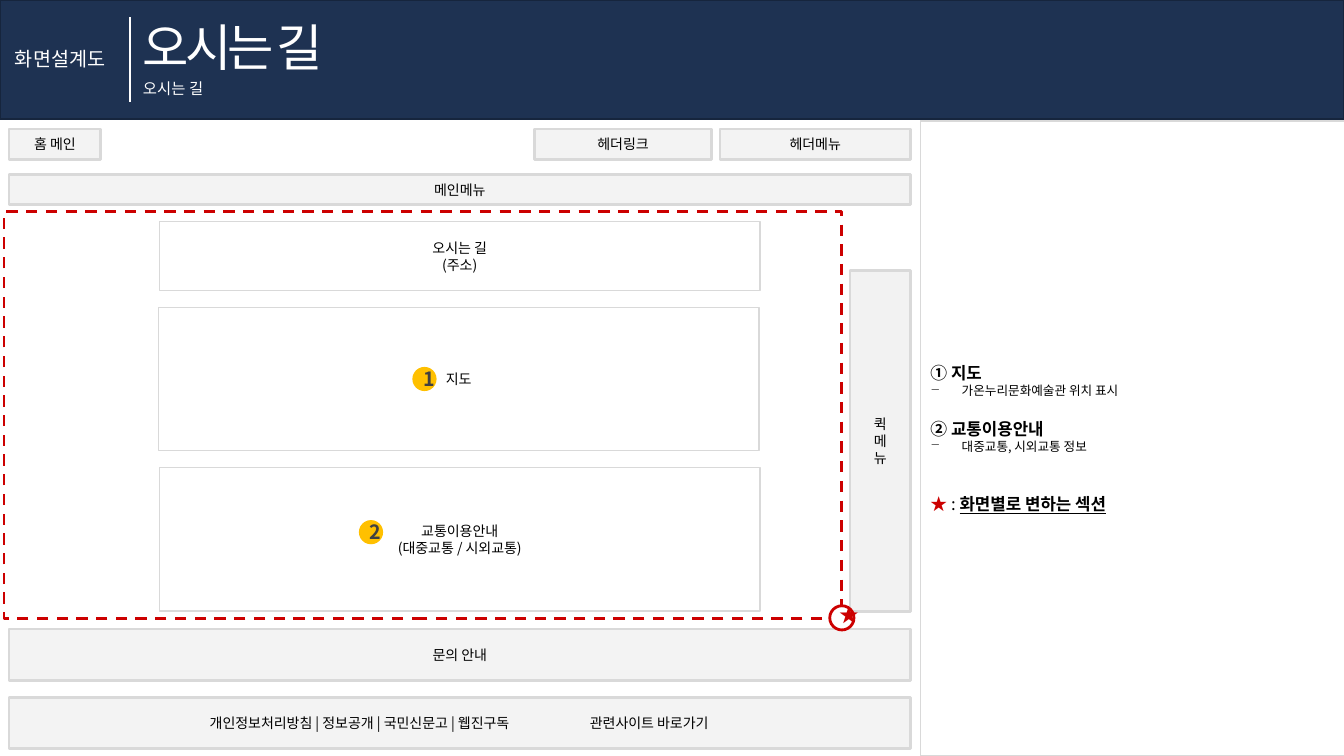
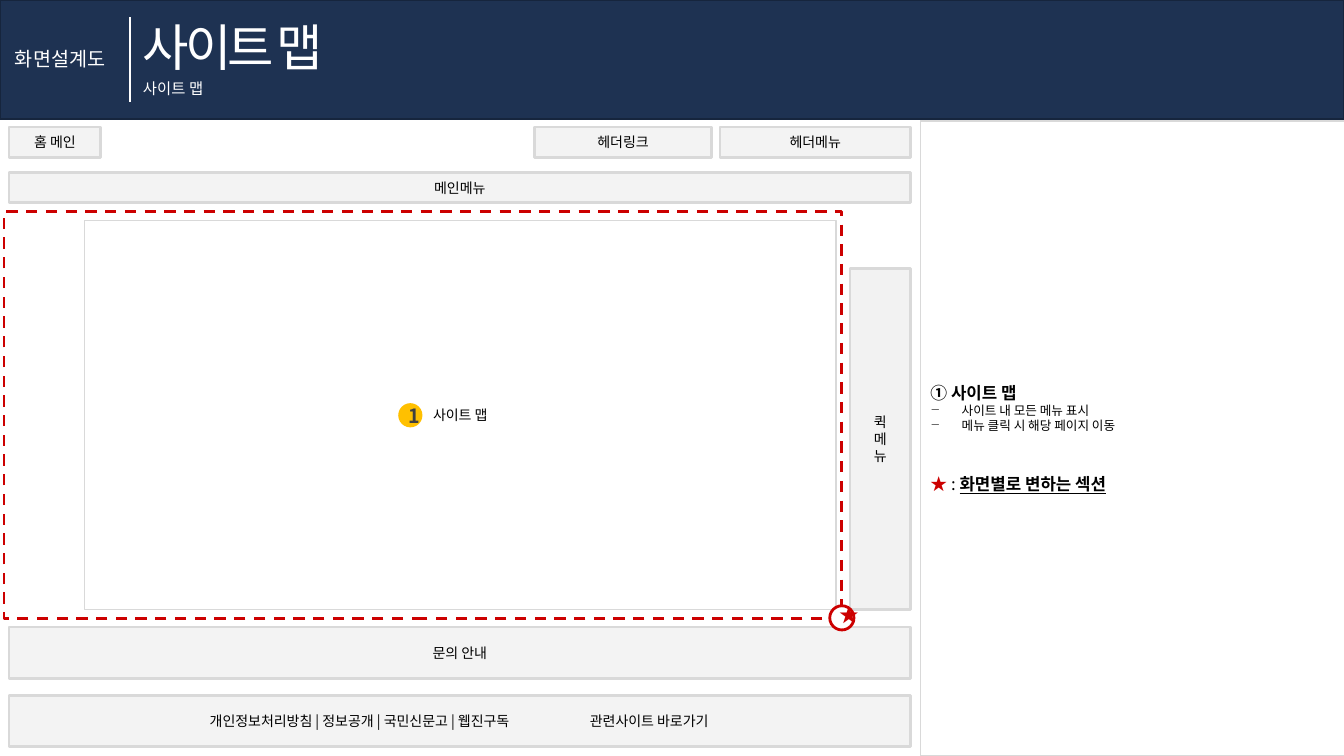
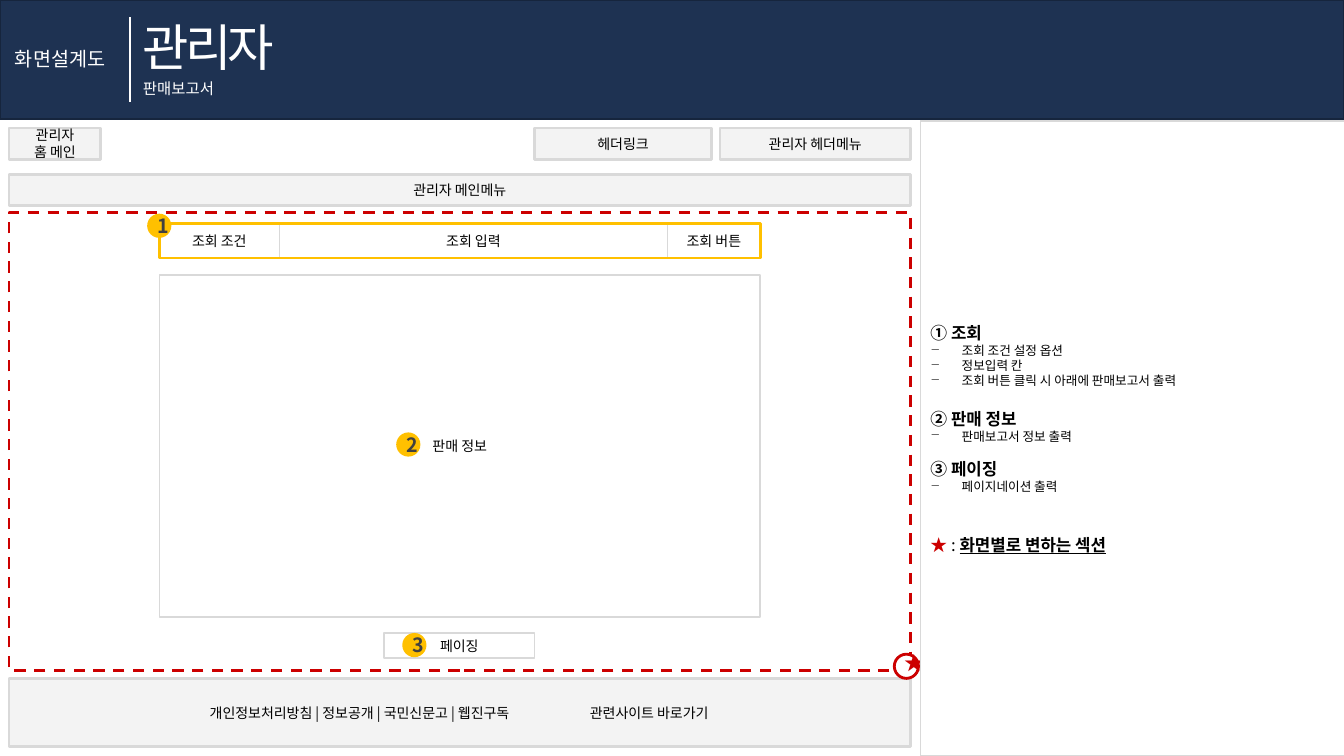
"""Build three wireframe slides with a shared header, page frame and notes panel."""
import pptx
import pptx.util
import pptx.dml.color
import pptx.enum.dml
import pptx.enum.shapes
import pptx.enum.text
import pptx.oxml
import pptx.oxml.ns

Inches = pptx.util.Inches
Pt = pptx.util.Pt
RGBColor = pptx.dml.color.RGBColor
SHAPE = pptx.enum.shapes.MSO_SHAPE
ALIGN = pptx.enum.text.PP_ALIGN
ANCHOR = pptx.enum.text.MSO_ANCHOR

NAVY = RGBColor(0x1E, 0x32, 0x52)
NAVY_EDGE = RGBColor(0x16, 0x25, 0x3D)
WHITE = RGBColor(0xFF, 0xFF, 0xFF)
BLACK = RGBColor(0, 0, 0)
CHARCOAL = RGBColor(0x40, 0x40, 0x40)
GREY = RGBColor(0xD9, 0xD9, 0xD9)
MID_GREY = RGBColor(0xBF, 0xBF, 0xBF)
RED = RGBColor(0xCC, 0, 0)
AMBER = RGBColor(0xFF, 0xC0, 0)

KOREAN = "Noto Sans CJK KR"
LATIN = "Roboto"
LABEL = {"size": Pt(10), "name": KOREAN}
HEADING = {"size": Pt(12), "name": KOREAN, "bold": True}
DETAIL = {"size": Pt(9), "name": KOREAN}
BADGE = {"size": Pt(14), "name": KOREAN, "bold": True}
BLANK_LINE = 14.4

LEFT, WIDTH = 0.09, 8.94
CONTENT_LEFT, CONTENT_WIDTH = 1.58, 5.96
DOT = 0.24
LINKS = "개인정보처리방침 | 정보공개 | 국민신문고 | 웹진구독\t관련사이트 바로가기"


def add_xml(parent, tag, **attributes):
    """Append a DrawingML element with attributes and return it."""
    child = pptx.oxml.parse_xml(f"<a:{tag} {pptx.oxml.ns.nsdecls('a')}/>")
    for key, value in attributes.items():
        child.set(key, str(value))
    parent.append(child)
    return child


def add_run(paragraph, text, formats, color=BLACK):
    """Add a run formatted from a dict of font values."""
    run = paragraph.add_run()
    run.text = text
    for key, value in formats.items():
        setattr(run.font, key, value)
    run.font.color.rgb = color
    add_xml(run.font._element, "ea", typeface=KOREAN)
    return run


def add_block(slide, box, lines=(), fill=None, edge=None, weight=1.0, opacity=None,
              kind=SHAPE.RECTANGLE, formats=LABEL, color=BLACK):
    """Add a preset shape with centred lines of text."""
    block = slide.shapes.add_shape(kind, *map(Inches, box))
    block.shadow.inherit = False
    if fill is None:
        block.fill.background()
    else:
        block.fill.solid()
        block.fill.fore_color.rgb = fill
        if opacity:
            tint = block.fill._xPr.find(".//" + pptx.oxml.ns.qn("a:srgbClr"))
            add_xml(tint, "alpha", val=opacity * 1000)
    if edge is None:
        block.line.fill.background()
    else:
        block.line.color.rgb = edge
        block.line.width = Pt(weight)
    frame = block.text_frame
    frame.vertical_anchor = ANCHOR.MIDDLE
    for index, line in enumerate(lines):
        paragraph = frame.add_paragraph() if index else frame.paragraphs[0]
        paragraph.alignment = ALIGN.CENTER
        add_run(paragraph, line, formats, color)
    return block


def add_bar(slide, box, *lines, fill=GREY, opacity=30):
    """Add a translucent grey area of the fixed page frame."""
    return add_block(slide, box, lines, fill, GREY, 2, opacity)


def add_panel(slide, box, *lines):
    """Add a white content area."""
    return add_block(slide, box, lines, WHITE, GREY)


def add_badge(slide, left, top, number):
    """Add a numbered amber dot."""
    add_block(slide, (left, top, DOT, DOT), [number], AMBER, kind=SHAPE.OVAL,
              formats=BADGE, color=CHARCOAL)


def add_caption(slide, box, text, formats, color=WHITE, wrap=False):
    """Add a text box holding one line and return its run."""
    frame = slide.shapes.add_textbox(*map(Inches, box)).text_frame
    frame.word_wrap = wrap
    return add_run(frame.paragraphs[0], text, formats, color)


def add_header(slide, title, subtitle):
    """Add the navy band with its titles and divider."""
    add_block(slide, (0, 0, 13.33, 1.18), fill=NAVY, edge=NAVY_EDGE)
    heading = add_caption(slide, (1.32, 0.11, 2.2, 0.71), title,
                          {"size": Pt(36), "name": KOREAN})
    heading.font._element.set("spc", "-300")
    add_caption(slide, (0.05, 0.42, 1.18, 0.34), "화면설계도",
                {"size": Pt(14), "name": KOREAN})
    divider = slide.shapes.add_connector(
        pptx.enum.shapes.MSO_CONNECTOR.STRAIGHT,
        Inches(1.29), Inches(0.17), Inches(1.29), Inches(1.01))
    divider.line.color.rgb = WHITE
    divider.line.width = Pt(1.5)
    add_xml(divider._element.spPr, "effectLst")
    add_caption(slide, (1.32, 0.74, 0.97, 0.29), subtitle,
                {"size": Pt(11), "name": LATIN})


def add_menus(slide, top, menu_top, height=0.3, home=("홈 메인",), prefix=""):
    """Add the home, link and menu bars at the top of the page."""
    add_bar(slide, (LEFT, top, 0.91, height), *home)
    add_bar(slide, (5.3, top, 1.76, height), "헤더링크")
    add_bar(slide, (7.14, top, 1.89, height), prefix + "헤더메뉴")
    add_bar(slide, (LEFT, menu_top, WIDTH, height), prefix + "메인메뉴")


def add_footer(slide, top, height):
    """Add the bottom bar with links and a tabbed site list."""
    footer = add_bar(slide, (LEFT, top, WIDTH, height), LINKS)
    footer.text_frame.margin_left = Inches(1.99)
    paragraph = footer.text_frame.paragraphs[0]
    paragraph.alignment = ALIGN.LEFT
    stops = add_xml(paragraph._p.get_or_add_pPr(), "tabLst")
    add_xml(stops, "tab", pos=Inches(3.77), algn="l")


def add_public_frame(slide, shift):
    """Add the bars that the visitor pages share, moved up by a shift."""
    add_menus(slide, 1.28 - shift, 1.73 - shift)
    add_bar(slide, (8.43, 2.68 - shift, 0.6, 3.39), *"퀵메뉴", fill=MID_GREY, opacity=20)
    add_bar(slide, (LEFT, 6.24 - shift, WIDTH, 0.51), "문의 안내")
    add_footer(slide, 6.92 - shift, 0.51)


def add_section(slide, box, left, top):
    """Add the dashed outline of the changing section and its star mark."""
    outline = add_block(slide, box, edge=RED, weight=2)
    outline.line.dash_style = pptx.enum.dml.MSO_LINE.DASH
    add_block(slide, (left, top, DOT, DOT), fill=WHITE, edge=RED, weight=2, kind=SHAPE.OVAL)
    star = add_caption(slide, (left, top - 0.08, DOT, 0.34), "★",
                       {"size": Pt(14), "name": KOREAN}, RED, wrap=True)
    star._r.getparent().get_or_add_pPr().set("algn", "ctr")


def add_notes_panel(slide, topics):
    """Add the side panel from (gap before, heading, details) topics."""
    panel = add_panel(slide, (9.13, 1.2, 4.22, 6.3))
    frame = panel.text_frame

    def add_line(gap=0):
        """Start a left-aligned paragraph after a gap in points."""
        started = frame.paragraphs[0].runs
        paragraph = frame.add_paragraph() if started else frame.paragraphs[0]
        paragraph.alignment = ALIGN.LEFT
        paragraph.space_before = Pt(gap)
        return paragraph

    for gap, heading, details in topics:
        add_run(add_line(gap), heading, HEADING)
        for detail in details:
            item = add_line()
            properties = item._p.get_or_add_pPr()
            properties.set("marL", str(Inches(0.31)))
            properties.set("indent", str(-Inches(0.31)))
            add_xml(properties, "buChar", char="−")
            add_run(item, detail, DETAIL)
    legend = add_line(2 * BLANK_LINE)
    add_run(legend, "★ ", HEADING, RED)
    add_run(legend, ": ", {**HEADING, "bold": False})
    add_run(legend, "화면별로 변하는 섹션", {**HEADING, "underline": True})


def build_directions(slide):
    """Build the directions page."""
    add_header(slide, "오시는 길", "오시는 길")
    add_public_frame(slide, 0)
    add_panel(slide, (CONTENT_LEFT, 2.2, CONTENT_WIDTH, 0.68), "오시는 길", "(주소)")
    add_panel(slide, (1.57, 3.05, CONTENT_WIDTH, 1.42), "지도")
    add_panel(slide, (CONTENT_LEFT, 4.64, CONTENT_WIDTH, 1.42),
              "교통이용안내", "(대중교통 / 시외교통)")
    add_section(slide, (0.04, 2.1, 8.31, 4.04), 8.23, 6.01)
    add_notes_panel(slide, [
        (0, "① 지도", ["가온누리문화예술관 위치 표시"]),
        (BLANK_LINE, "② 교통이용안내", ["대중교통, 시외교통 정보"]),
    ])
    add_badge(slide, 4.09, 3.64, "1")
    add_badge(slide, 3.56, 5.16, "2")


def build_site_map(slide):
    """Build the site map page."""
    add_header(slide, "사이트 맵", "사이트 맵")
    add_public_frame(slide, 0.02)
    add_panel(slide, (0.84, 2.19, 7.45, 3.86), "사이트 맵")
    add_section(slide, (0.04, 2.1, 8.31, 4.04), 8.23, 6.01)
    add_notes_panel(slide, [
        (0, "① 사이트 맵", ["사이트 내 모든 메뉴 표시", "메뉴 클릭 시 해당 페이지 이동"]),
    ])
    add_badge(slide, 3.95, 4, "1")


def build_sales_report(slide):
    """Build the administrator's sales report page."""
    add_header(slide, "관리자", "판매보고서")
    add_menus(slide, 1.27, 1.73, 0.31, ("관리자", "홈 메인"), "관리자 ")
    add_footer(slide, 6.73, 0.68)
    left = CONTENT_LEFT
    for label, width in (("조회 조건", 1.19), ("조회 입력", 3.85), ("조회 버튼", 0.92)):
        add_panel(slide, (left, 2.22, width, 0.34), label)
        left += width
    add_block(slide, (CONTENT_LEFT, 2.22, CONTENT_WIDTH, 0.34), edge=AMBER, weight=2)
    add_panel(slide, (CONTENT_LEFT, 2.73, CONTENT_WIDTH, 3.39), "판매 정보")
    add_panel(slide, (3.81, 6.28, 1.49, 0.25), "페이징")
    add_section(slide, (LEFT, 2.11, WIDTH, 4.54), 8.87, 6.49)
    add_notes_panel(slide, [
        (0, "① 조회", ["조회 조건 설정 옵션", "정보입력 칸",
                     "조회 버튼 클릭 시 아래에 판매보고서 출력"]),
        (BLANK_LINE, "② 판매 정보", ["판매보고서 정보 출력"]),
        (10.8, "③ 페이징", ["페이지네이션 출력"]),
    ])
    for number, left, top in (("1", 1.46, 2.12), ("2", 3.93, 4.29), ("3", 3.99, 6.28)):
        add_badge(slide, left, top, number)


def main():
    """Create the presentation and save it."""
    deck = pptx.Presentation()
    deck.slide_width = Inches(13.33)
    deck.slide_height = Inches(7.5)
    for build in (build_directions, build_site_map, build_sales_report):
        build(deck.slides.add_slide(deck.slide_layouts[6]))
    deck.save("out.pptx")


if __name__ == "__main__":
    main()
